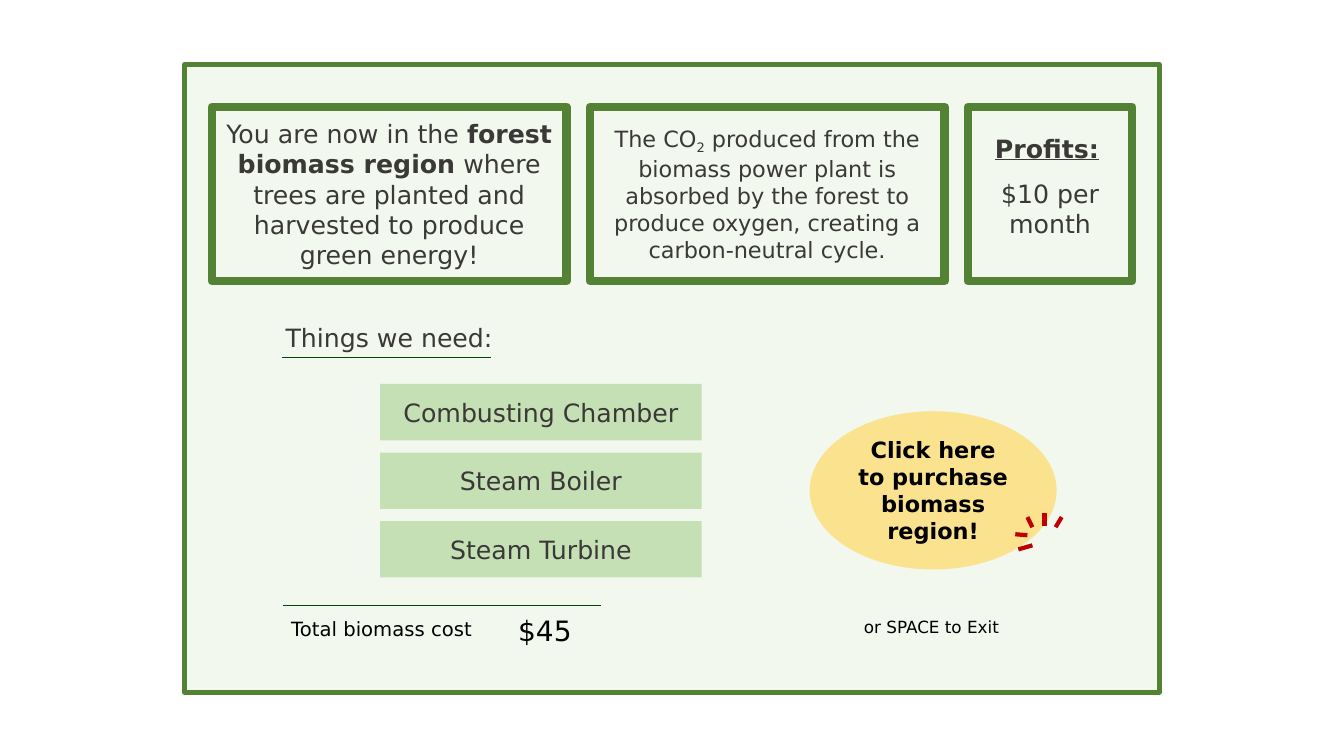
from lxml import etree
from pptx import Presentation
from pptx.dml import color
from pptx.enum import shapes, text
from pptx.oxml import ns
from pptx.util import Inches, Pt

FONT = "DejaVu Sans"
GREEN, PALE, YELLOW, RED, RULE = "548235", "C5E0B4", "FFD966", "C00000", "004803"
DARK, BLACK = "3B3838", "000000"

FRAME = (1.83, 0.64, 9.67, 6.23)
CARD_TOP, CARD_HEIGHT = 1.06, 1.73
CARDS = [
    (2.1, 3.52, 18, 0.05, [("You are now in the ", ""), ("forest biomass region", "b"),
                           (" where trees are planted and harvested to produce green energy!", "")]),
    (5.85, 3.52, 16, 0.05, [("The CO", ""), ("2", "sub"),
                            (" produced from the biomass power plant is absorbed by the forest "
                             "to produce oxygen, creating a carbon-neutral cycle.", "")]),
    (9.6, 1.63, 18, 0.34, [("$10 per month", "")]),
]
BUTTON = (8.03, 4.08, 2.45, 1.57)
CLICK_MARKS = [
    (10.36, 5.09, 10.36, 5.22), (10.53, 5.13, 10.47, 5.23), (10.24, 5.41, 10.1, 5.45),
    (10.19, 5.13, 10.24, 5.23), (10.07, 5.3, 10.19, 5.31),
]
NEEDS = ["Combusting Chamber", "Steam Boiler", "Steam Turbine"]
NEED_LEFT, NEED_TOP, NEED_WIDTH, NEED_HEIGHT, NEED_STEP = 3.77, 3.81, 3.19, 0.56, 0.68
NEED_RULES = [((2.8, 3.55, 4.87, 3.55), 0.5), ((2.81, 6.01, 5.96, 6.01), 1)]
NEED_LABELS = [
    ("Things we need:", (2.68, 3.15, 2.36, 0.4), 18, DARK, "c"),
    ("Total biomass cost", (2.79, 6.07, 2.08, 0.34), 14, BLACK, "l"),
    ("$45", (5.04, 6.04, 0.79, 0.44), 20, BLACK, "l"),
]
ALIGN = {"l": text.PP_ALIGN.LEFT, "c": text.PP_ALIGN.CENTER}


def rgb(value):
    return color.RGBColor.from_string(value)


def write(sp, runs, size, hue, align="c"):
    p = sp.text_frame.paragraphs[0]
    p.alignment = ALIGN[align]
    for words, style in runs:
        r = p.add_run()
        r.text = words
        r.font.name, r.font.size = FONT, Pt(size)
        r.font.color.rgb = rgb(hue)
        r.font.bold = "b" in style.split()
        r.font.underline = "u" in style.split()
        if style == "sub":
            r._r.get_or_add_rPr().set("baseline", "-25000")


def add_shape(parent, kind, box, fill=None, alpha=None, line=None, width=0):
    sp = parent.add_shape(kind, *map(Inches, box))
    sp.shadow.inherit = False
    if fill:
        sp.fill.solid()
        sp.fill.fore_color.rgb = rgb(fill)
    else:
        sp.fill.background()
    if alpha:
        clr = sp._element.spPr.find(ns.qn("a:solidFill")).find(ns.qn("a:srgbClr"))
        etree.SubElement(clr, ns.qn("a:alpha")).set("val", str(alpha * 1000))
    if line:
        sp.line.color.rgb = rgb(line)
        sp.line.width = Pt(width)
    else:
        sp.line.fill.background()
    sp.text_frame.word_wrap = True
    sp.text_frame.vertical_anchor = text.MSO_ANCHOR.MIDDLE
    return sp


def add_line(parent, ends, hue, width):
    cx = parent.add_connector(shapes.MSO_CONNECTOR.STRAIGHT, *map(Inches, ends))
    cx.line.color.rgb = rgb(hue)
    cx.line.width = Pt(width)
    etree.SubElement(cx._element.spPr, ns.qn("a:effectLst"))


def add_label(parent, words, box, size, hue, align="l", style="", wrap=True):
    sp = parent.add_textbox(*map(Inches, box))
    sp.text_frame.word_wrap = wrap
    sp.text_frame.auto_size = text.MSO_AUTO_SIZE.SHAPE_TO_FIT_TEXT
    write(sp, [(words, style)], size, hue, align)


def main():
    prs = Presentation()
    prs.slide_width, prs.slide_height = Inches(13.33), Inches(7.5)
    s = prs.slides.add_slide(prs.slide_layouts[6])
    rect, oval = shapes.MSO_SHAPE.RECTANGLE, shapes.MSO_SHAPE.OVAL

    add_shape(s.shapes, rect, FRAME, PALE, 22, GREEN, 3)
    for left, width, size, inset, runs in CARDS:
        sp = add_shape(s.shapes, rect, (left, CARD_TOP, width, CARD_HEIGHT), line=GREEN, width=6)
        sp.text_frame.margin_top = Inches(inset)
        write(sp, runs, size, DARK)

    purchase = s.shapes.add_group_shape().shapes
    sp = add_shape(purchase, oval, BUTTON, YELLOW, 70)
    write(sp, [("Click here to purchase biomass region!", "b")], 16, BLACK)
    for ends in CLICK_MARKS:
        add_line(purchase, ends, RED, 3)
    add_label(purchase, "or SPACE to Exit", (8.47, 6.07, 1.6, 0.3), 12, BLACK, wrap=False)

    needs = s.shapes.add_group_shape().shapes
    for ends, width in NEED_RULES:
        add_line(needs, ends, RULE, width)
    for label in NEED_LABELS:
        add_label(needs, *label)
    for i, need in enumerate(NEEDS):
        box = (NEED_LEFT, NEED_TOP + i * NEED_STEP, NEED_WIDTH, NEED_HEIGHT)
        write(add_shape(needs, rect, box, PALE), [(need, "")], 18, DARK)

    add_label(s.shapes, "Profits:", (9.77, 1.27, 1.3, 0.4), 18, DARK, style="b u")
    prs.save("out.pptx")


if __name__ == "__main__":
    main()
